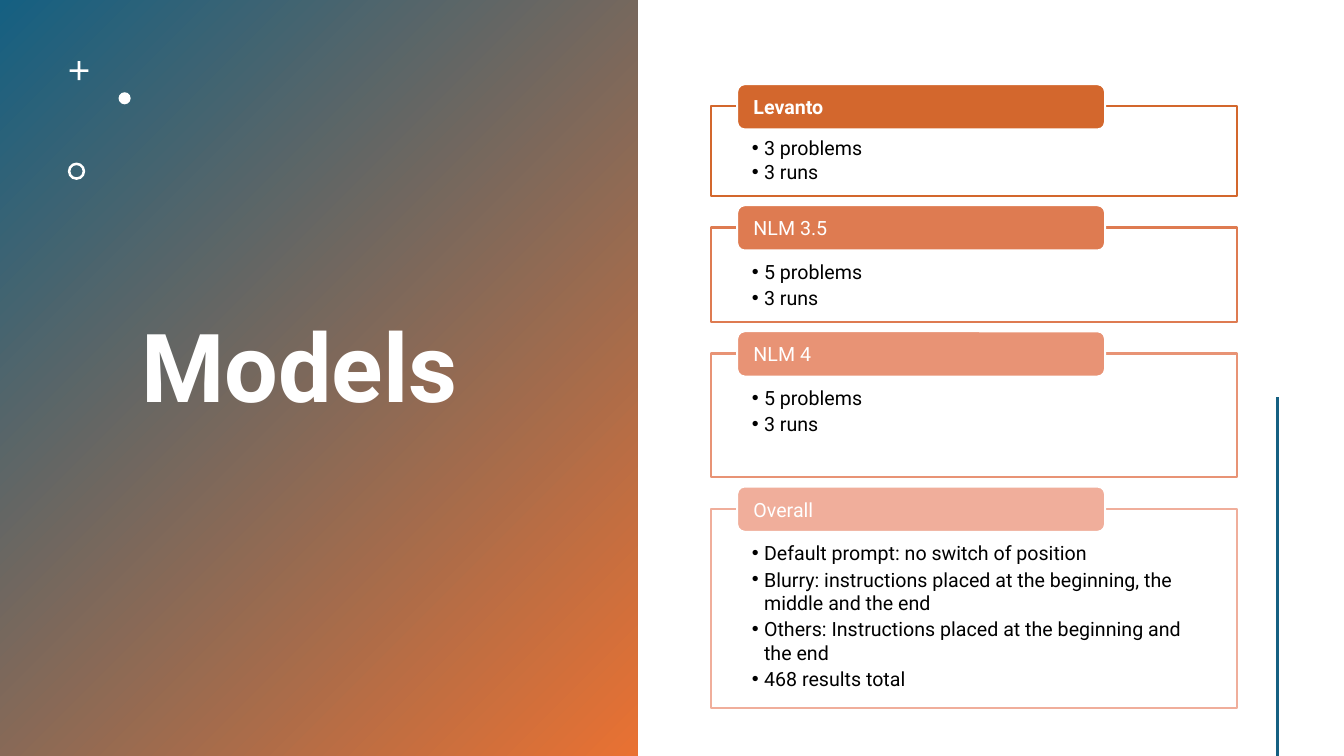
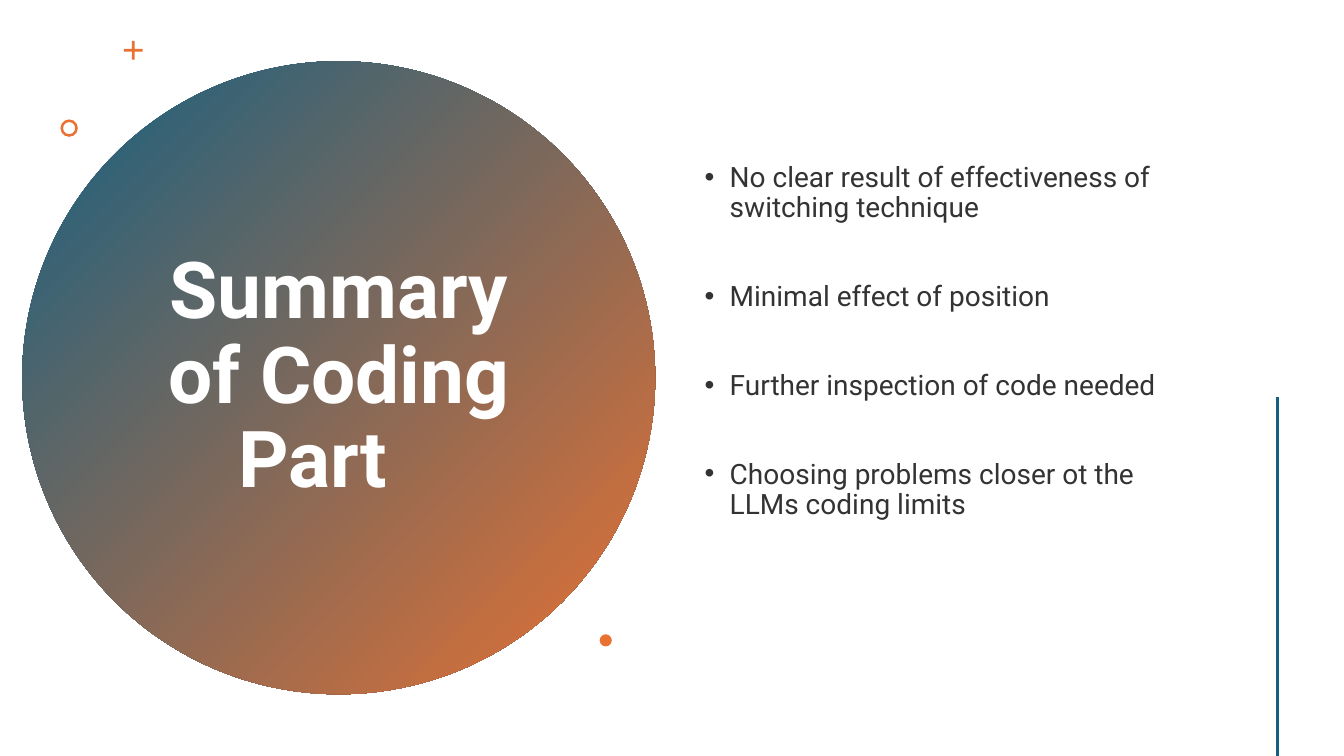
from lxml import etree
from pptx import Presentation
from pptx.dml.color import RGBColor
from pptx.enum.shapes import MSO_CONNECTOR, MSO_SHAPE
from pptx.enum.text import MSO_ANCHOR, MSO_AUTO_SIZE, PP_ALIGN
from pptx.oxml.ns import qn
from pptx.util import Inches, Pt

RECT, ROUNDED, OVAL = MSO_SHAPE.RECTANGLE, MSO_SHAPE.ROUNDED_RECTANGLE, MSO_SHAPE.OVAL
CROSS, DONUT = MSO_SHAPE.CROSS, MSO_SHAPE.DONUT
STRAIGHT = MSO_CONNECTOR.STRAIGHT
TOP, MIDDLE = MSO_ANCHOR.TOP, MSO_ANCHOR.MIDDLE
LEFT, CENTER = PP_ALIGN.LEFT, PP_ALIGN.CENTER
NO_FIT = MSO_AUTO_SIZE.NONE

BLUE = RGBColor(0x15, 0x60, 0x82)
ORANGE = RGBColor(0xE9, 0x71, 0x32)
WHITE = RGBColor(0xFF, 0xFF, 0xFF)
BLACK = RGBColor(0x00, 0x00, 0x00)
DARK_GREY = RGBColor(0x33, 0x33, 0x33)
RUST = RGBColor(0xD3, 0x67, 0x2D)
COPPER = RGBColor(0xDE, 0x7B, 0x51)
SALMON = RGBColor(0xE8, 0x93, 0x75)
PEACH = RGBColor(0xF0, 0xAE, 0x9B)
FONT = "Roboto"
TAB_STOP = Inches(1)

deck = Presentation()
deck.slide_width, deck.slide_height = Inches(13.333), Inches(7.5)

# Grid: 100 columns by 100 rows
COL, ROW = deck.slide_width / 100, deck.slide_height / 100
SQUARE = ROW / COL  # columns as wide as one row is high


def add_part(slide, kind, area, fill=None, line=None):
    """Add a preset shape; area is left, top, width, height on the grid."""
    left, top, width, height = area
    part = slide.shapes.add_shape(kind, int(left * COL), int(top * ROW),
                                  int(width * COL), int(height * ROW))
    part.shadow.inherit = False
    if fill is None:
        part.fill.gradient()
        part.fill.gradient_angle = 315
        for stop, color, position in zip(part.fill.gradient_stops, (BLUE, ORANGE), (0, 1)):
            stop.color.rgb, stop.position = color, position
    else:
        part.fill.solid()
        part.fill.fore_color.rgb = fill
    if line is None:
        part.line.fill.background()
    else:
        part.line.color.rgb, part.line.width = line, Pt(1.5)
    return part


def write(frame, lines, color, frame_format, paragraph_format, font_format, indent=None):
    """Fill a text frame; an indent gives bulleted paragraphs."""
    frame_format = {"word_wrap": True, "auto_size": NO_FIT} | frame_format
    for name, value in frame_format.items():
        setattr(frame, name, value)
    for number, line in enumerate(lines):
        paragraph = frame.add_paragraph() if number else frame.paragraphs[0]
        run = paragraph.add_run()
        run.text = line
        for name, value in paragraph_format.items():
            setattr(paragraph, name, value)
        for name, value in ({"name": FONT} | font_format).items():
            setattr(run.font, name, value)
        run.font.color.rgb = color
        properties = paragraph._p.get_or_add_pPr()
        properties.set("defTabSz", str(TAB_STOP))
        if indent:
            properties.set("marL", str(indent))
            properties.set("indent", str(-indent))
            etree.SubElement(properties, qn("a:buFont")).set("typeface", "Arial")
            etree.SubElement(properties, qn("a:buChar")).set("char", "•")


# What both slides share: gradient panel, title, small marks, vertical rule
MARKS = {  # kind, size in rows, adjustment
    "plus": (CROSS, 2.5, 0.43),
    "dot": (OVAL, 1.6, None),
    "ring": (DONUT, 2.3, 0.15),
}
OPENINGS = [
    {"title": "Models", "size": 68, "align": LEFT, "title_area": (9.75, 5.6, 32.85, 87),
     "panel": RECT, "panel_area": (0, 0, 47.45, 100), "mark_color": WHITE,
     "marks": {"plus": (5.18, 8.1), "dot": (8.82, 12.2), "ring": (5.05, 21.5)}},
    {"title": "Summary of Coding Part\t", "size": 56, "align": CENTER,
     "title_area": (10.25, 18.85, 29.93, 62.27),
     "panel": OVAL, "panel_area": (1.65, 8.1, 83.73 * SQUARE, 83.73), "mark_color": ORANGE,
     "marks": {"plus": (9.22, 5.4), "ring": (4.5, 15.8), "dot": (44.62, 83.9)}},
]
slides = []
for opening in OPENINGS:
    slide = deck.slides.add_slide(deck.slide_layouts[5])
    slides.append(slide)
    panel = add_part(slide, opening["panel"], opening["panel_area"])
    slide.shapes.element.insert(2, panel.element)

    title = slide.shapes.title
    for name, share, unit in zip(("left", "top", "width", "height"),
                                 opening["title_area"], (COL, ROW, COL, ROW)):
        setattr(title, name, int(share * unit))
    write(title.text_frame, [opening["title"]], WHITE, {"vertical_anchor": MIDDLE},
          {"alignment": opening["align"], "line_spacing": 0.9},
          {"size": Pt(opening["size"]), "bold": True})

    for mark_name, (left, top) in opening["marks"].items():
        kind, size, adjustment = MARKS[mark_name]
        mark = add_part(slide, kind, (left, top, size * SQUARE, size), opening["mark_color"])
        if adjustment:
            mark.adjustments[0] = adjustment

    rule = slide.shapes.add_connector(STRAIGHT, int(95.05 * COL), int(52.55 * ROW),
                                      int(95.05 * COL), int(100 * ROW))
    rule.line.color.rgb, rule.line.width = BLUE, Pt(2)
    etree.SubElement(rule.element.spPr, qn("a:effectLst"))

models_slide, summary_slide = slides

# Models: a stack of framed cards, each with a tab on its upper edge
CARDS = [  # heading, bold, color, rows, line spacing, points
    ("Levanto", True, RUST, 11.87, 0.9, ["3 problems", "3 runs"]),
    ("NLM 3.5", False, COPPER, 12.53, 1.0, ["5 problems", "3 runs"]),
    ("NLM 4", False, SALMON, 16.4, 1.0, ["5 problems", "3 runs"]),
    ("Overall", False, PEACH, 26.4, 1.0, [
        "Default prompt: no switch of position",
        "Blurry: instructions placed at the beginning, the middle and the end",
        "Others: Instructions placed at the beginning and the end",
        "468 results total"]),
]
CARD_GAP, TAB_HEIGHT, TAB_RISE = 4.14, 6, 2.95
CARD_FRAME = {"vertical_anchor": TOP, "margin_left": Inches(0.41), "margin_right": Inches(0.4),
              "margin_top": Inches(0.32), "margin_bottom": Inches(0.11)}
TAB_FRAME = {"vertical_anchor": MIDDLE, "margin_left": Inches(0.14),
             "margin_right": Inches(0.14), "margin_top": 0, "margin_bottom": 0}
card_top = 14.08
for heading, bold, color, height, spacing, points in CARDS:
    card = add_part(models_slide, RECT, (52.88, card_top, 39.15, height), WHITE, color)
    write(card.text_frame, points, BLACK, CARD_FRAME,
          {"alignment": LEFT, "line_spacing": spacing, "space_after": Pt(2)},
          {"size": Pt(14)}, Inches(0.12))
    tab = add_part(models_slide, ROUNDED, (54.85, card_top - TAB_RISE, 27.38, TAB_HEIGHT),
                   color, WHITE)
    write(tab.text_frame, [heading], WHITE, TAB_FRAME, {"alignment": LEFT},
          {"size": Pt(14), "bold": bold})
    card_top += height + CARD_GAP

# Summary: widely spaced findings
FINDINGS = [
    "No clear result of effectiveness of switching technique",
    "Minimal effect of position",
    "Further inspection of code needed",
    "Choosing problems closer ot the LLMs coding limits",
]
findings = summary_slide.shapes.add_textbox(int(51.68 * COL), int(20.95 * ROW),
                                            int(38 * COL), int(64 * ROW)).text_frame
write(findings, FINDINGS, DARK_GREY, {"vertical_anchor": TOP},
      {"line_spacing": 0.9, "space_before": Pt(41.8)}, {"size": Pt(20)}, Inches(0.25))
findings.paragraphs[0].space_before = Pt(10)

deck.save("out.pptx")
